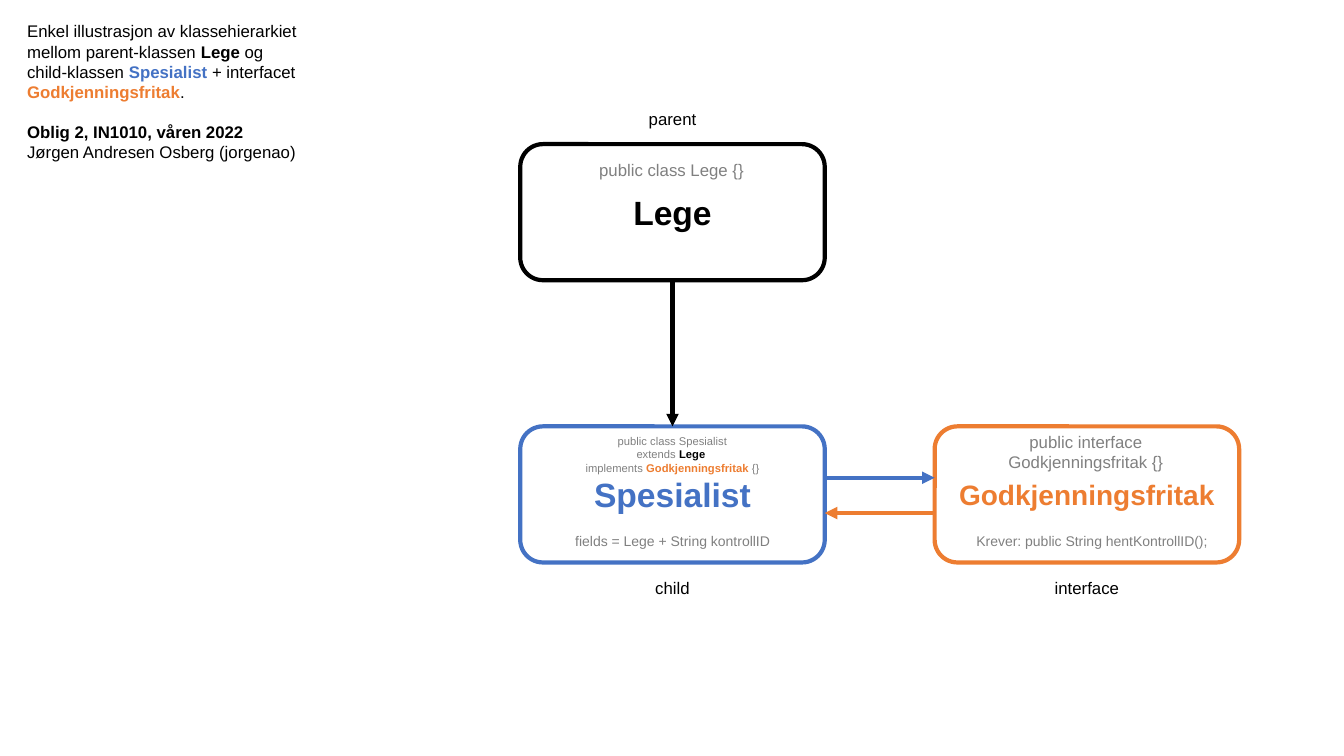
from pptx import Presentation
from pptx.dml.color import RGBColor
from pptx.enum.shapes import MSO_CONNECTOR, MSO_SHAPE
from pptx.enum.text import MSO_ANCHOR, PP_ALIGN
from pptx.oxml.ns import qn
from pptx.util import Inches, Pt
from lxml.etree import SubElement

BLACK = RGBColor(0x00, 0x00, 0x00)
GRAY = RGBColor(0x80, 0x80, 0x80)
BLUE = RGBColor(0x44, 0x72, 0xC4)
ORANGE = RGBColor(0xED, 0x7D, 0x31)

CARD_WIDTH, CARD_HEIGHT = 3.02, 1.35
CLASS_LEFT, INTERFACE_LEFT = 5.16, 9.27
PARENT_TOP, CHILD_TOP = 1.43, 4.23
CAPTION_WIDTH = 1.21


def write_lines(frame, lines, size, align):
    for index, line in enumerate(lines):
        paragraph = frame.paragraphs[0] if index == 0 else frame.add_paragraph()
        paragraph.alignment = align
        for text, color, bold in line:
            run = paragraph.add_run()
            run.text = text
            run.font.name = "Arial"
            run.font.size = Pt(size)
            run.font.bold = bold
            run.font.color.rgb = color


def add_text(slide, box, lines, size, align=PP_ALIGN.CENTER):
    frame = slide.shapes.add_textbox(*map(Inches, box)).text_frame
    frame.word_wrap = True
    write_lines(frame, lines, size, align)
    return frame


def add_card(slide, left, top, name, color, size):
    card = slide.shapes.add_shape(
        MSO_SHAPE.ROUNDED_RECTANGLE,
        Inches(left), Inches(top), Inches(CARD_WIDTH), Inches(CARD_HEIGHT))
    card.shadow.inherit = False
    card.fill.background()
    card.line.color.rgb = color
    card.line.width = Pt(3)
    card.text_frame.word_wrap = True
    card.text_frame.vertical_anchor = MSO_ANCHOR.MIDDLE
    write_lines(card.text_frame, [[(name, color, True)]], size, PP_ALIGN.CENTER)
    return card


def add_caption(slide, left, top, text):
    caption_left = left + (CARD_WIDTH - CAPTION_WIDTH) / 2
    add_text(slide, (caption_left, top, CAPTION_WIDTH, 0.3), [[(text, BLACK, False)]], 12)


def add_arrow(slide, start, end, color):
    arrow = slide.shapes.add_connector(MSO_CONNECTOR.STRAIGHT, *map(Inches, start + end))
    arrow.line.color.rgb = color
    arrow.line.width = Pt(3)
    SubElement(arrow.line._get_or_add_ln(), qn("a:tailEnd"), type="triangle")
    SubElement(arrow._element.spPr, qn("a:effectLst"))
    return arrow


def add_intro(slide, left, top):
    intro = add_text(slide, (left, top, 2.88, 1.51), [
        [("Enkel illustrasjon av klassehierarkiet mellom parent-klassen ", BLACK, False),
         ("Lege", BLACK, True),
         (" og child-klassen ", BLACK, False),
         ("Spesialist ", BLUE, True),
         ("+ interfacet ", BLACK, False),
         ("Godkjenningsfritak", ORANGE, True),
         (".", BLACK, False)],
        [("Oblig 2, IN1010, våren 2022", BLACK, True)],
        [("Jørgen Andresen Osberg (jorgenao)", BLACK, False)],
    ], 12, PP_ALIGN.LEFT)
    intro.paragraphs[1].space_before = Pt(14)


def add_parent(slide, left, top):
    card = add_card(slide, left, top, "Lege", BLACK, 24)
    add_text(slide, (left + 0.29, top + 0.11, 2.42, 0.3),
             [[("public class Lege {}", GRAY, False)]], 12)
    add_caption(slide, left, top - 0.4, "parent")
    return card


def add_child(slide, left, top):
    card = add_card(slide, left, top, "Spesialist", BLUE, 24)
    add_text(slide, (left, top + 0.03, CARD_WIDTH, 0.5), [
        [("public class Spesialist", GRAY, False)],
        [("extends ", GRAY, False), ("Lege ", BLACK, True)],
        [("implements ", GRAY, False), ("Godkjenningsfritak", ORANGE, True),
         (" {}", GRAY, False)],
    ], 8)
    add_text(slide, (left, top + 1, CARD_WIDTH, 0.27),
             [[("fields = Lege + String kontrollID", GRAY, False)]], 10)
    add_caption(slide, left, top + CARD_HEIGHT + 0.1, "child")
    return card


def add_interface(slide, left, top):
    add_card(slide, left, top, "Godkjenningsfritak", ORANGE, 20)
    add_text(slide, (left + 0.29, top, 2.42, 0.5),
             [[("public interface Godkjenningsfritak {}", GRAY, False)]], 12)
    add_text(slide, (left + 0.29, top + 1, 2.54, 0.27),
             [[("Krever: public String hentKontrollID();", GRAY, False)]], 10)
    add_caption(slide, left, top + CARD_HEIGHT + 0.1, "interface")


def add_relations(slide, parent, child):
    middle = CLASS_LEFT + CARD_WIDTH / 2
    inheritance = add_arrow(slide, (middle, PARENT_TOP + CARD_HEIGHT),
                            (middle, CHILD_TOP), BLACK)
    inheritance.begin_connect(parent, 2)
    inheritance.end_connect(child, 0)

    child_right = CLASS_LEFT + CARD_WIDTH
    upper, lower = CHILD_TOP + 0.51, CHILD_TOP + 0.86
    add_arrow(slide, (child_right, upper), (INTERFACE_LEFT, upper), BLUE)
    add_arrow(slide, (INTERFACE_LEFT, lower), (child_right, lower), ORANGE)


def main():
    presentation = Presentation()
    presentation.slide_width = Inches(13.33)
    presentation.slide_height = Inches(7.5)
    slide = presentation.slides.add_slide(presentation.slide_layouts[6])
    add_intro(slide, 0.17, 0.16)
    parent = add_parent(slide, CLASS_LEFT, PARENT_TOP)
    child = add_child(slide, CLASS_LEFT, CHILD_TOP)
    add_interface(slide, INTERFACE_LEFT, CHILD_TOP)
    add_relations(slide, parent, child)
    presentation.save("out.pptx")


if __name__ == "__main__":
    main()
